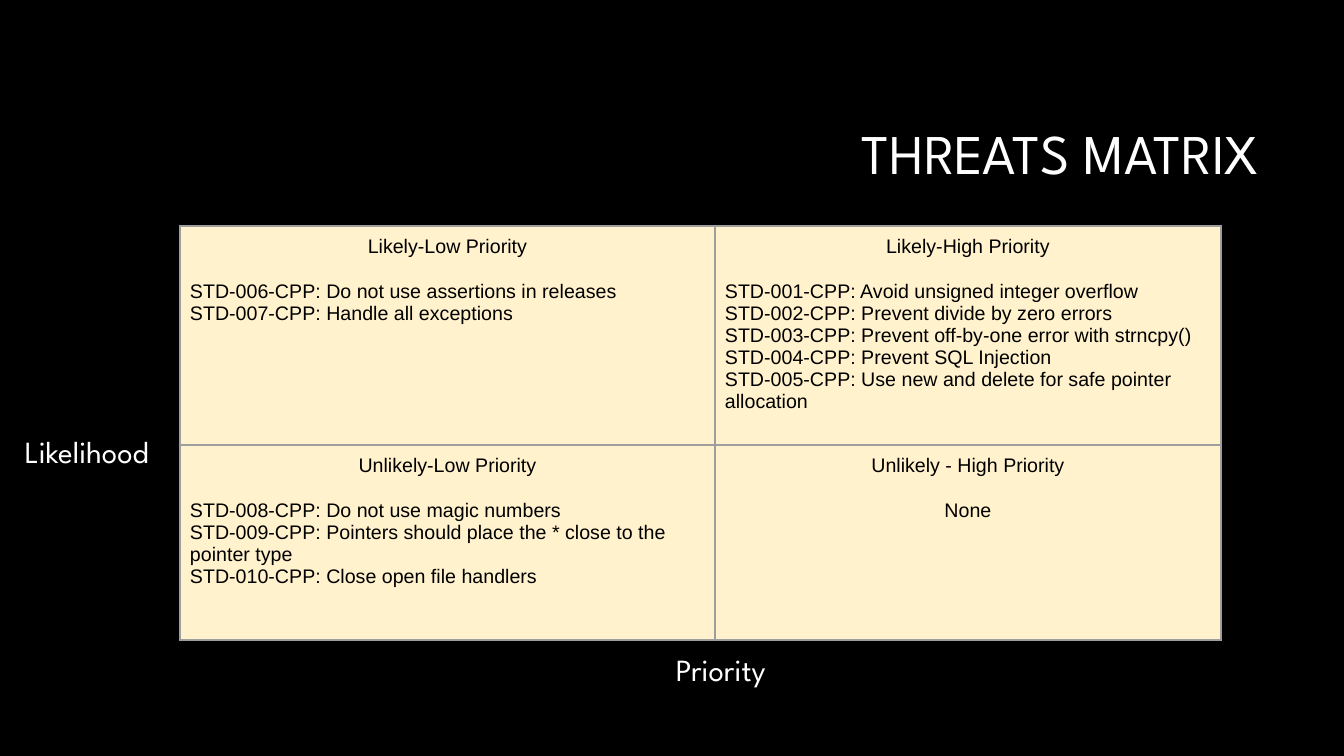
"""Build the threats matrix slide."""
from lxml import etree
from pptx import Presentation
from pptx.dml.color import RGBColor
from pptx.enum.text import MSO_ANCHOR, PP_ALIGN
from pptx.oxml.ns import qn
from pptx.util import Pt

PX = 914400 / 100.8
WHITE, BLACK, CREAM, GREY = "FFFFFF", "000000", "FFF2CC", "9E9E9E"


def px(length):
    return round(length * PX)


def add_run(paragraph, text, size, font, color):
    run = paragraph.add_run()
    run.text = text
    run.font.size = Pt(size)
    run.font.name = font
    run.font.color.rgb = RGBColor.from_string(color)


presentation = Presentation()
presentation.slide_width, presentation.slide_height = px(1344), px(756)
slide = presentation.slides.add_slide(presentation.slide_layouts[6])
slide.background.fill.solid()
slide.background.fill.fore_color.rgb = RGBColor.from_string(BLACK)

labels = [
    ("THREATS MATRIX", 320, 85, 949, 142, 10, 40, 0.9, PP_ALIGN.RIGHT, MSO_ANCHOR.MIDDLE),
    ("Likelihood", 0, 435, 200, 56, 25, 22, 0.8, PP_ALIGN.LEFT, MSO_ANCHOR.TOP),
    ("Priority", 651, 653, 142, 56, 25, 22, 0.8, PP_ALIGN.LEFT, MSO_ANCHOR.TOP),
]
for text, left, top, width, height, inset, size, spacing, alignment, anchor in labels:
    box = slide.shapes.add_textbox(px(left), px(top), px(width), px(height))
    frame = box.text_frame
    frame.word_wrap = True
    frame.vertical_anchor = anchor
    frame.margin_left = px(inset)
    paragraph = frame.paragraphs[0]
    paragraph.alignment = alignment
    paragraph.line_spacing = spacing
    add_run(paragraph, text, size, "League Spartan", WHITE)

quadrants = [
    [
        ("Likely-Low Priority", [
            "STD-006-CPP: Do not use assertions in releases",
            "STD-007-CPP: Handle all exceptions",
        ]),
        ("Likely-High Priority", [
            "STD-001-CPP: Avoid unsigned integer overflow",
            "STD-002-CPP: Prevent divide by zero errors",
            "STD-003-CPP: Prevent off-by-one error with strncpy()",
            "STD-004-CPP: Prevent SQL Injection",
            "STD-005-CPP: Use new and delete for safe pointer allocation",
        ]),
    ],
    [
        ("Unlikely-Low Priority", [
            "STD-008-CPP: Do not use magic numbers",
            "STD-009-CPP: Pointers should place the * close to the pointer type",
            "STD-010-CPP: Close open file handlers",
        ]),
        ("Unlikely - High Priority", ["None"]),
    ],
]
column_widths, row_heights = [535, 506], [219, 195]
table = slide.shapes.add_table(
    2, 2, px(180), px(226), px(sum(column_widths)), px(sum(row_heights))
).table
for column, width in zip(table.columns, column_widths):
    column.width = px(width)
for row, height, contents in zip(table.rows, row_heights, quadrants):
    row.height = px(height)
    for cell, (heading, threats) in zip(row.cells, contents):
        cell.margin_left = cell.margin_right = px(10)
        cell.margin_top = cell.margin_bottom = px(10)
        properties = cell._tc.get_or_add_tcPr()
        for side in ("a:lnL", "a:lnR", "a:lnT", "a:lnB"):
            border = etree.SubElement(properties, qn(side), w=str(Pt(2.25)))
            fill = etree.SubElement(border, qn("a:solidFill"))
            etree.SubElement(fill, qn("a:srgbClr"), val=GREY)
        cell.fill.solid()
        cell.fill.fore_color.rgb = RGBColor.from_string(CREAM)
        paragraph = cell.text_frame.paragraphs[0]
        paragraph.alignment = PP_ALIGN.CENTER
        paragraph.space_after = Pt(16)
        add_run(paragraph, heading, 14, "Arial", BLACK)
        for threat in threats:
            paragraph = cell.text_frame.add_paragraph()
            paragraph.alignment = PP_ALIGN.CENTER if threat == "None" else PP_ALIGN.LEFT
            add_run(paragraph, threat, 14, "Arial", BLACK)

presentation.save("out.pptx")
